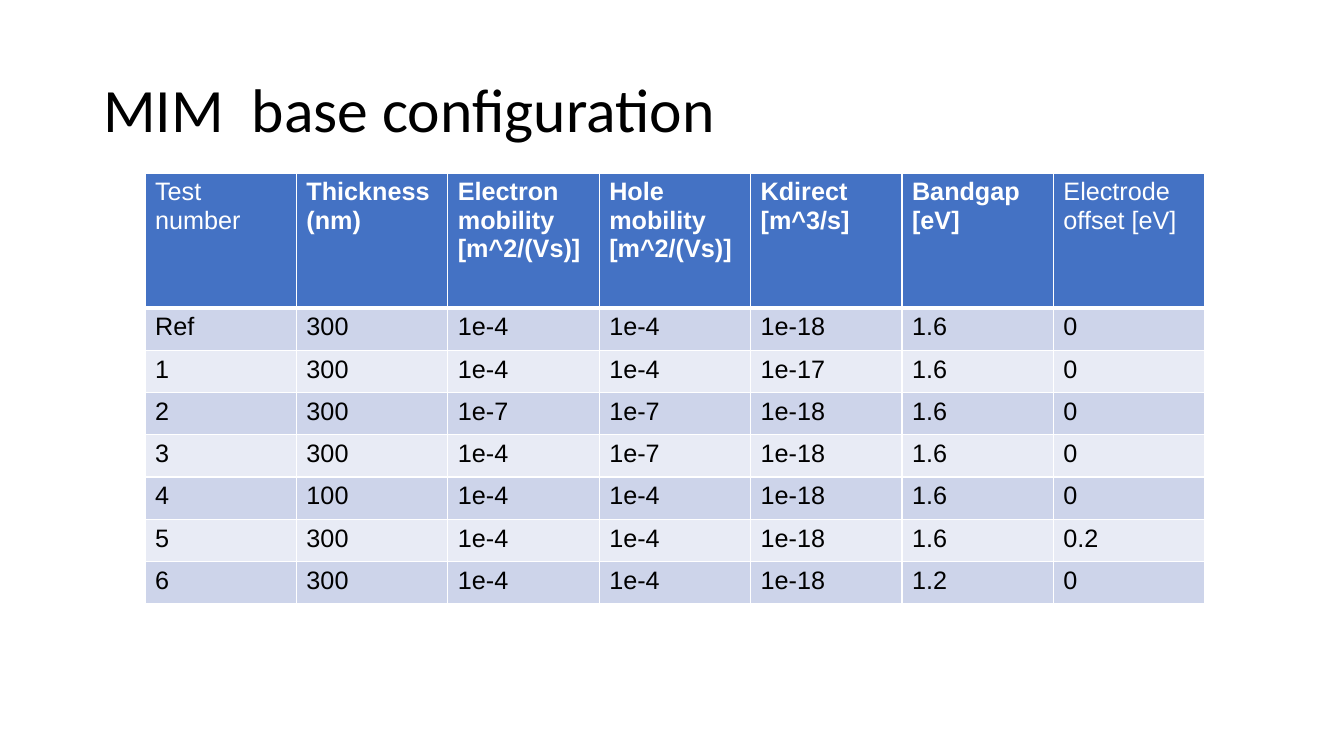
from lxml.etree import SubElement
from pptx import Presentation
from pptx.dml.color import RGBColor
from pptx.enum.text import MSO_ANCHOR as Anchor, MSO_AUTO_SIZE as AutoSize, PP_ALIGN as Align
from pptx.oxml.ns import qn
from pptx.util import Emu, Pt

EMU_PER_PIXEL = 914400 / 100.8
HEADER_HEIGHT = 135
HEADINGS = [
    "Test number", "Thickness (nm)", "Electron mobility [m^2/(Vs)]",
    "Hole mobility [m^2/(Vs)]", "Kdirect [m^3/s]", "Bandgap [eV]",
    "Electrode offset [eV]",
]
PLAIN_HEADINGS = {"Test number", "Electrode offset [eV]"}
TESTS = [
    ["Ref", "300", "1e-4", "1e-4", "1e-18", "1.6", "0"],
    ["1", "300", "1e-4", "1e-4", "1e-17", "1.6", "0"],
    ["2", "300", "1e-7", "1e-7", "1e-18", "1.6", "0"],
    ["3", "300", "1e-4", "1e-7", "1e-18", "1.6", "0"],
    ["4", "100", "1e-4", "1e-4", "1e-18", "1.6", "0"],
    ["5", "300", "1e-4", "1e-4", "1e-18", "1.6", "0.2"],
    ["6", "300", "1e-4", "1e-4", "1e-18", "1.2", "0"],
]


def px(length):
    """Turn pixels into EMU."""
    return Emu(round(length * EMU_PER_PIXEL))


def color(hex_code):
    """Turn a hex string into a colour."""
    return RGBColor.from_string(hex_code)


def format_runs(paragraph, font, size, hex_code, bold=False):
    """Give every run of a paragraph the same font settings."""
    for run in paragraph.runs:
        run.font.name = font
        run.font.size = Pt(size)
        run.font.bold = bold
        run.font.color.rgb = color(hex_code)


def add_borders(cell, top, bottom):
    """Draw white borders, one point wide at the sides."""
    properties = cell._tc.get_or_add_tcPr()
    widths = {"a:lnL": 1, "a:lnR": 1, "a:lnT": top, "a:lnB": bottom}
    for position, (side, width) in enumerate(widths.items()):
        border = SubElement(properties, qn(side), w=str(Pt(width)))
        fill = SubElement(border, qn("a:solidFill"))
        SubElement(fill, qn("a:srgbClr"), val="FFFFFF")
        properties.insert(position, border)


def place_title(slide, left, top, width, height):
    """Fill the title placeholder and fit it to its box."""
    title = slide.shapes.title
    title.left, title.top, title.width, title.height = map(px, (left, top, width, height))
    frame = title.text_frame
    frame.text = "MIM  base configuration"
    frame.auto_size = AutoSize.NONE
    frame.vertical_anchor = Anchor.MIDDLE
    heading = frame.paragraphs[0]
    heading.alignment = Align.LEFT
    heading.line_spacing = 0.9
    format_runs(heading, "Calibri", 44, "000000")


def add_test_table(slide, left, top, width, height):
    """Add the table of test settings, filling its box."""
    rows = [HEADINGS] + TESTS
    box = map(px, (left, top, width, height))
    tests = slide.shapes.add_table(len(rows), len(HEADINGS), *box).table
    for column in tests.columns:
        column.width = px(width / len(HEADINGS))
    for index, values in enumerate(rows):
        is_header = index == 0
        body_height = (height - HEADER_HEIGHT) / len(TESTS)
        tests.rows[index].height = px(HEADER_HEIGHT if is_header else body_height)
        band = "4472C4" if is_header else "CDD4EA" if index % 2 else "E8EBF5"
        for cell, value in zip(tests.rows[index].cells, values):
            cell.text_frame.text = value
            cell.fill.solid()
            cell.fill.fore_color.rgb = color(band)
            add_borders(cell, 3 if index == 1 else 1, 3 if is_header else 1)
            format_runs(cell.text_frame.paragraphs[0], "Arial", 18,
                        "FFFFFF" if is_header else "000000",
                        is_header and value not in PLAIN_HEADINGS)


def build():
    """Build the slide and save it."""
    deck = Presentation()
    deck.slide_width, deck.slide_height = px(1344), px(756)
    slide = deck.slides.add_slide(deck.slide_layouts[5])
    place_title(slide, 93, 40, 1159, 146)
    add_test_table(slide, 145, 173, 1060, 431)
    deck.save("out.pptx")


build()
